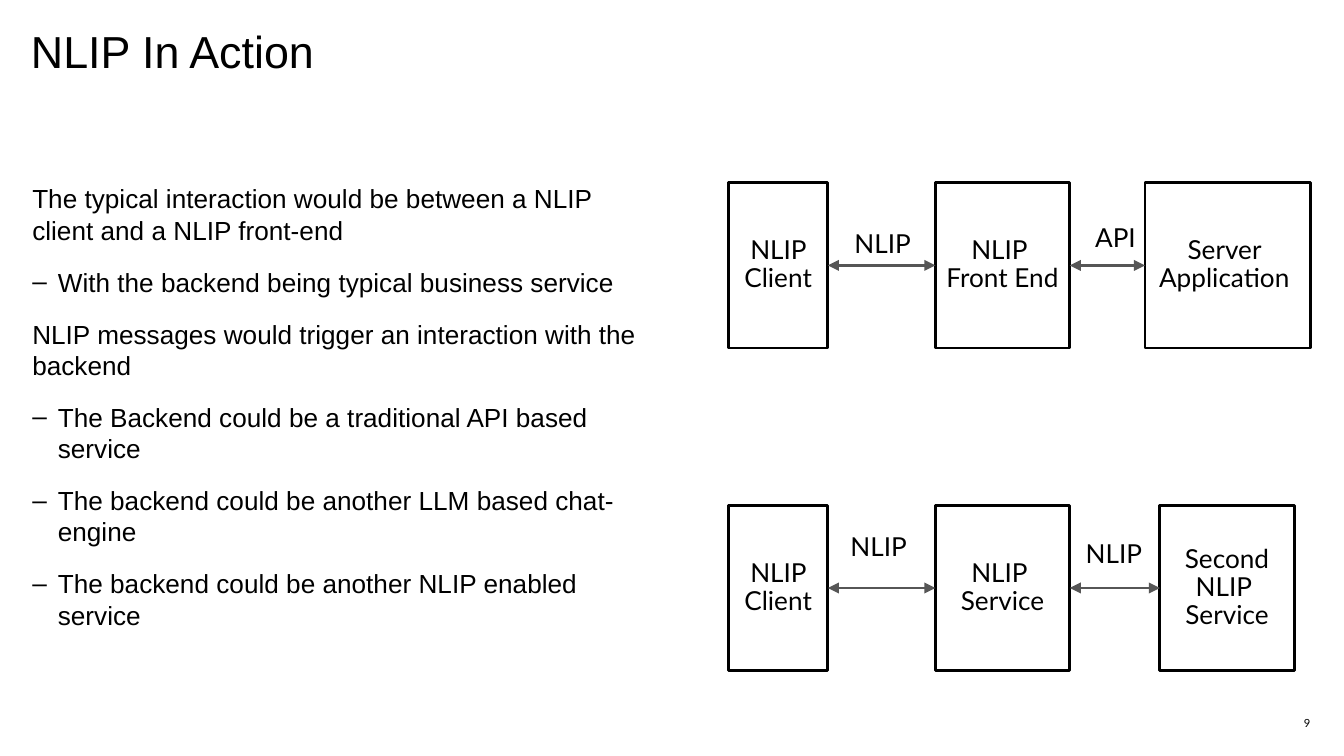
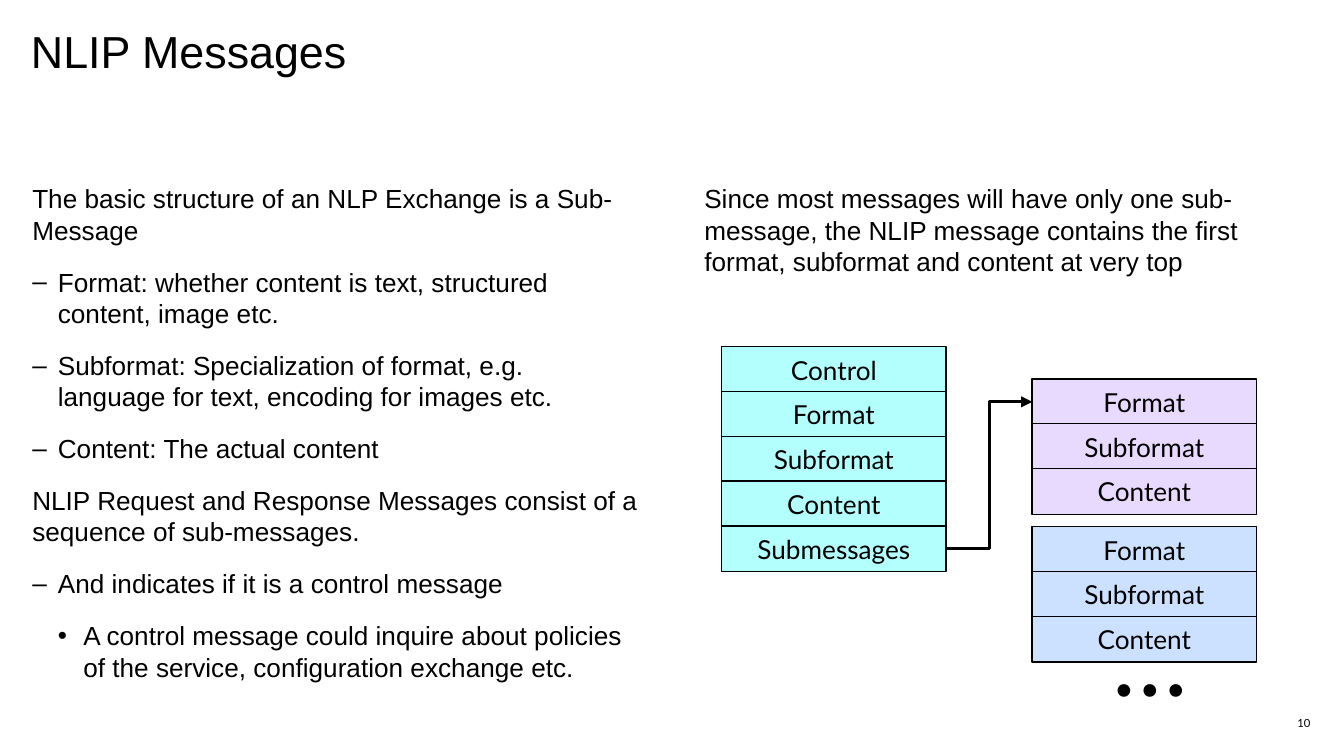
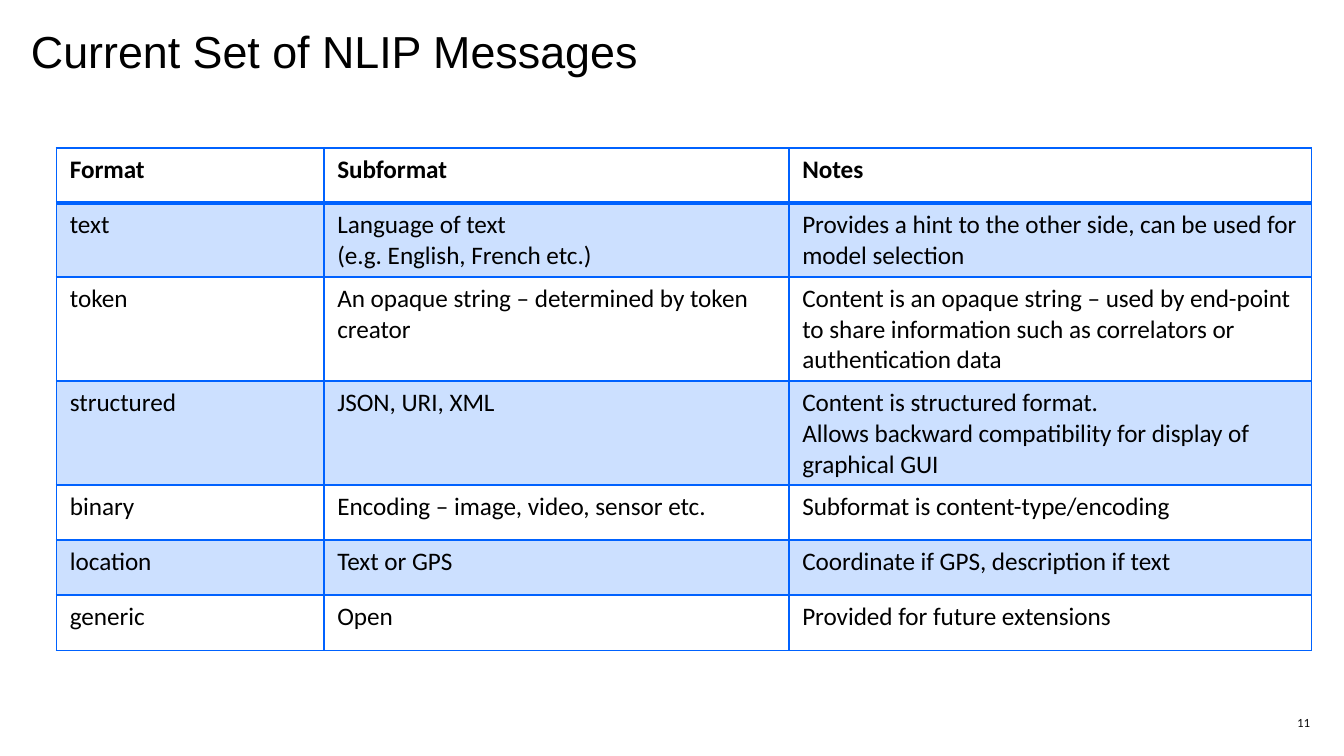
from lxml.etree import SubElement
from pptx import Presentation
from pptx.dml.color import RGBColor
from pptx.enum.shapes import MSO_CONNECTOR, MSO_SHAPE
from pptx.enum.text import MSO_ANCHOR, MSO_AUTO_SIZE, PP_ALIGN
from pptx.oxml.ns import qn
from pptx.util import Inches, Pt

BLACK = RGBColor(0x00, 0x00, 0x00)
GRAY = RGBColor(0x56, 0x56, 0x56)
BLUE = RGBColor(0x00, 0x62, 0xFF)
LIGHT_BLUE = RGBColor(0xCC, 0xE0, 0xFF)
CYAN = RGBColor(0xB2, 0xFF, 0xFD)
LILAC = RGBColor(0xE8, 0xD9, 0xFE)

TITLE_FONT = BODY_FONT = "Arial"
DIAGRAM_FONT = "Lato"
TABLE_FONT = "Calibri"

TOP = 1.36
COLUMN_W = 4.51
INDENT = 0.19
BULLETS = {1: "–", 2: "•"}
SITE_LEFT, SITE_RIGHT = 1, 3
FIELD_W, FIELD_H, FIELD_PITCH = 1.67, 0.34, 1 / 3

ACTION_BODY = [
    (0, "The typical interaction would be between a NLIP client and a NLIP front-end"),
    (1, "With the backend being typical business service"),
    (0, "NLIP messages would trigger an interaction with the backend"),
    (1, "The Backend could be a traditional API based service"),
    (1, "The backend could be another LLM based chat-engine"),
    (1, "The backend could be another NLIP enabled service"),
]
MESSAGES_BODY = [
    (0, "The basic structure of an NLP Exchange is a Sub-Message"),
    (1, "Format: whether content is text, structured content, image etc."),
    (1, "Subformat: Specialization of format, e.g. language for text, encoding for images etc."),
    (1, "Content: The actual content"),
    (0, "NLIP Request and Response Messages consist of a sequence of sub-messages."),
    (1, "And indicates if it is a control message"),
    (2, "A control message could inquire about policies of the service, configuration exchange etc."),
]
TOP_LEVEL_NOTE = [
    (0, "Since most messages will have only one sub-message, the NLIP message contains "
        "the first format, subformat and content at very top"),
]
SUBMESSAGE = ["Format", "Subformat", "Content"]
MESSAGE = ["Control", *SUBMESSAGE, "Submessages"]
FORMATS = [
    ("Format", "Subformat", "Notes"),
    ("text", "Language of text\n(e.g. English, French etc.)",
     "Provides a hint to the other side, can be used for model selection"),
    ("token", "An opaque string – determined by token creator",
     "Content is an opaque string – used by end-point to share information "
     "such as correlators or authentication data"),
    ("structured", "JSON, URI, XML",
     "Content is structured format.\n"
     "Allows backward compatibility for display of graphical GUI"),
    ("binary", "Encoding – image, video, sensor etc.", "Subformat is content-type/encoding"),
    ("location", "Text or GPS", "Coordinate if GPS, description if text"),
    ("generic", "Open", "Provided for future extensions"),
]


def style_text(tf, font, size, align=PP_ALIGN.LEFT, spacing=None, bold=False):
    for p in tf.paragraphs:
        p.alignment = align
        p.line_spacing = spacing
        for r in p.runs:
            r.font.name = font
            r.font.size = Pt(size)
            r.font.bold = bold
            r.font.color.rgb = BLACK


def set_margins(tf, inset):
    tf.margin_left = tf.margin_right = tf.margin_top = tf.margin_bottom = Inches(inset)


def add_text(s, x, y, w, h, text, font, size, align=PP_ALIGN.LEFT, inset=None, wrap=True):
    tf = s.shapes.add_textbox(Inches(x), Inches(y), Inches(w), Inches(h)).text_frame
    tf.word_wrap = wrap
    if inset is not None:
        set_margins(tf, inset)
    tf.text = text
    style_text(tf, font, size, align)
    return tf


def add_slide(prs, title, number):
    s = prs.slides.add_slide(prs.slide_layouts[5])
    sp = s.shapes.title
    sp.left, sp.top, sp.width, sp.height = Inches(0.23), Inches(0.22), Inches(4.53), Inches(0.88)
    tf = sp.text_frame
    tf.text = title
    tf.word_wrap = True
    tf.auto_size = MSO_AUTO_SIZE.NONE
    tf.vertical_anchor = MSO_ANCHOR.TOP
    set_margins(tf, 0)
    style_text(tf, TITLE_FONT, 24, spacing=0.9)
    footer = add_text(s, 7.75, 5.29, 2, 0.18, str(number), DIAGRAM_FONT, 6, PP_ALIGN.RIGHT, inset=0)
    footer.vertical_anchor = MSO_ANCHOR.MIDDLE
    return s


def add_bullet(p, level):
    pPr = p._p.get_or_add_pPr()
    pPr.set("marL", str(Inches(INDENT * level)))
    pPr.set("indent", str(-Inches(INDENT)))
    color = SubElement(pPr, qn("a:buClr"))
    SubElement(color, qn("a:srgbClr"), val=str(BLACK))
    SubElement(pPr, qn("a:buFont"), typeface=BODY_FONT)
    SubElement(pPr, qn("a:buChar"), char=BULLETS[level])


def add_body(s, x, h, items):
    text = "\n".join(line for _, line in items)
    tf = add_text(s, x, TOP, COLUMN_W, h, text, BODY_FONT, 14, inset=0)
    for p, (level, _) in zip(tf.paragraphs, items):
        p.level = level
        p.space_before = Pt(11)
        if level:
            add_bullet(p, level)


def add_box(s, x, y, w, h, text, line_width, fill=None, spacing=None):
    sp = s.shapes.add_shape(MSO_SHAPE.RECTANGLE, Inches(x), Inches(y), Inches(w), Inches(h))
    sp.shadow.inherit = False
    if fill is None:
        sp.fill.background()
    else:
        sp.fill.solid()
        sp.fill.fore_color.rgb = fill
    sp.line.color.rgb = BLACK
    sp.line.width = Pt(line_width)
    tf = sp.text_frame
    tf.text = text
    tf.word_wrap = True
    tf.vertical_anchor = MSO_ANCHOR.MIDDLE
    set_margins(tf, 0.04)
    style_text(tf, DIAGRAM_FONT, 14, PP_ALIGN.CENTER, spacing)
    return sp


def connect(s, kind, source, target, color, ends):
    """Join the right side of source to the left side of target."""
    line = s.shapes.add_connector(kind, source.left + source.width, source.top + source.height // 2,
                                  target.left, target.top + target.height // 2)
    line.begin_connect(source, SITE_RIGHT)
    line.end_connect(target, SITE_LEFT)
    line.line.color.rgb = color
    line.line.width = Pt(1.5)
    for end in ends:
        SubElement(line.line._get_or_add_ln(), qn(f"a:{end}"), type="triangle")
    SubElement(line._element.spPr, qn("a:effectLst"))


def add_chain(s, y, boxes, labels):
    """Draw a row of boxes (x, width, text) joined by labelled two-way arrows."""
    shapes = [add_box(s, x, y, w, 1.23, text, 1.5, spacing=0.9) for x, w, text in boxes]
    for source, target in zip(shapes, shapes[1:]):
        connect(s, MSO_CONNECTOR.STRAIGHT, source, target, GRAY, ["headEnd", "tailEnd"])
    for x, label_y, w, text in labels:
        add_text(s, x, label_y, w, 0.34, text, DIAGRAM_FONT, 14, wrap=False)


def add_stack(s, x, y, fields, fill):
    return [add_box(s, x, y + i * FIELD_PITCH, FIELD_W, FIELD_H, field, 0.75, fill)
            for i, field in enumerate(fields)]


def set_borders(cell, widths):
    tcPr = cell._tc.get_or_add_tcPr()
    for side, width in widths.items():
        ln = SubElement(tcPr, qn(f"a:ln{side}"), w=str(Pt(width)))
        SubElement(SubElement(ln, qn("a:solidFill")), qn("a:srgbClr"), val=str(BLUE))


def add_format_table(s, x, y, col_widths, row_height, rows):
    table = s.shapes.add_table(len(rows), len(col_widths), Inches(x), Inches(y),
                               Inches(sum(col_widths)), Inches(row_height * len(rows))).table
    table.first_row = table.horz_banding = False
    for column, width in zip(table.columns, col_widths):
        column.width = Inches(width)
    for i, row in enumerate(rows):
        table.rows[i].height = Inches(row_height)
        for j, text in enumerate(row):
            cell = table.cell(i, j)
            cell.text = text
            style_text(cell.text_frame, TABLE_FONT, 13.5, bold=i == 0)
            set_borders(cell, {"L": 1, "R": 1, "T": 2 if i == 1 else 1, "B": 2 if i == 0 else 1})
            if i % 2:
                cell.fill.solid()
                cell.fill.fore_color.rgb = LIGHT_BLUE
            else:
                cell.fill.background()


def add_action_slide(prs):
    s = add_slide(prs, "NLIP In Action", 9)
    add_body(s, 0.24, 3.56, ACTION_BODY)
    client = (5.42, 0.74, "NLIP Client")
    add_chain(s, TOP,
              [client, (6.96, 1, "NLIP \nFront End"), (8.52, 1.23, "Server \vApplication ")],
              [(6.26, 1.64, 0.64, "NLIP"), (8.05, 1.6, 0.53, "API")])
    add_chain(s, 3.76,
              [client, (6.96, 1, "NLIP \nService"), (8.63, 1, "Second\nNLIP \nService")],
              [(6.23, 3.9, 0.64, "NLIP"), (7.98, 3.95, 0.64, "NLIP")])


def add_messages_slide(prs):
    s = add_slide(prs, "NLIP Messages", 10)
    add_body(s, 0.24, 3.56, MESSAGES_BODY)
    add_body(s, 5.24, 0.73, TOP_LEVEL_NOTE)
    message = add_stack(s, 5.37, 2.58, MESSAGE, CYAN)
    first = add_stack(s, 7.68, 2.82, SUBMESSAGE, LILAC)
    add_stack(s, 7.68, 3.92, SUBMESSAGE, LIGHT_BLUE)
    connect(s, MSO_CONNECTOR.ELBOW, message[-1], first[0], BLACK, ["tailEnd"])
    add_text(s, 8.18, 4.38, 0.89, 1.01, "…", DIAGRAM_FONT, 54)


def add_formats_slide(prs):
    s = add_slide(prs, "Current Set of NLIP Messages", 11)
    add_format_table(s, 0.42, 1.1, [1.99, 3.46, 3.89], 0.41, FORMATS)


def main():
    prs = Presentation()
    prs.slide_width = Inches(10)
    prs.slide_height = prs.slide_width * 9 // 16
    add_action_slide(prs)
    add_messages_slide(prs)
    add_formats_slide(prs)
    prs.save("out.pptx")


if __name__ == "__main__":
    main()
